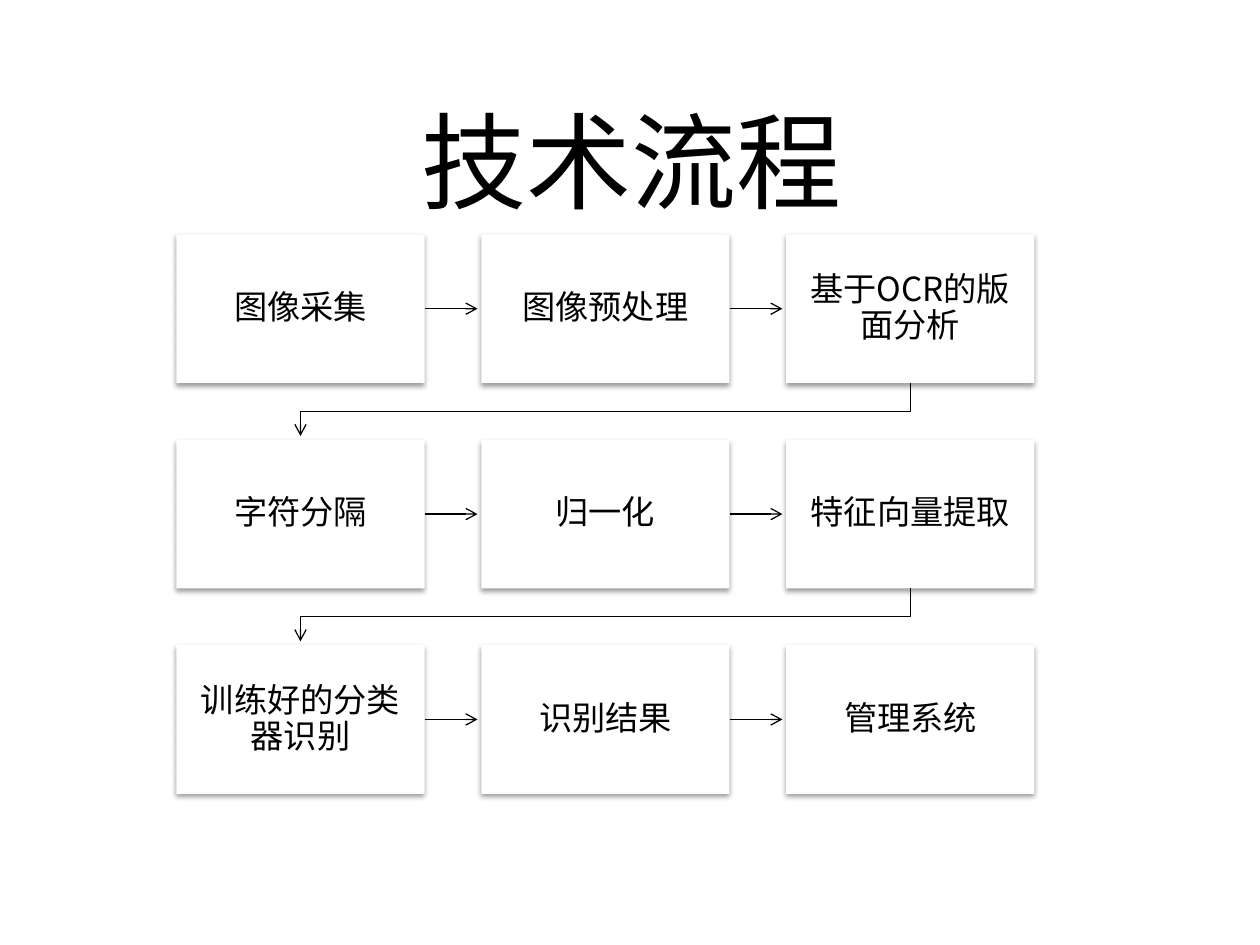
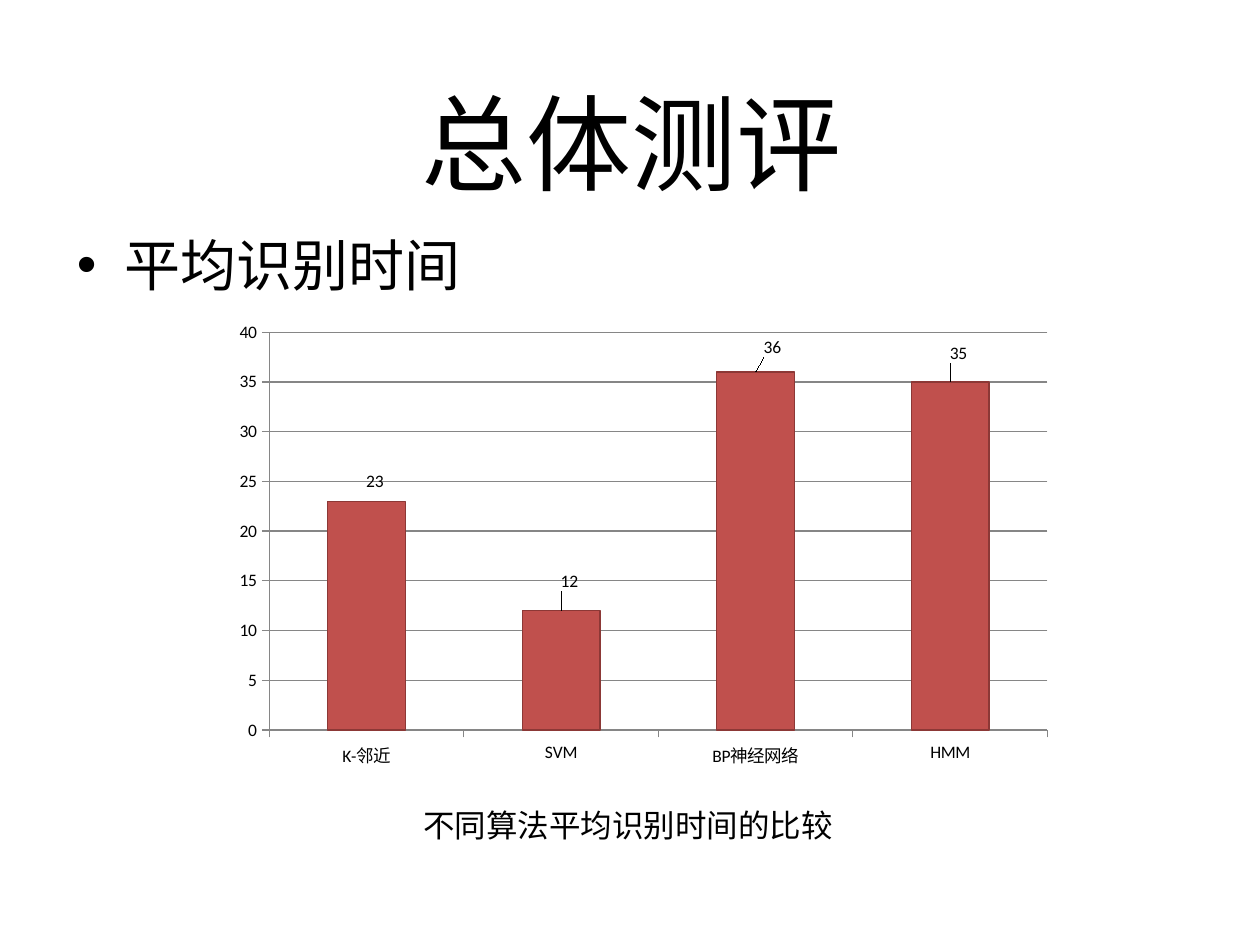
from dataclasses import dataclass

from lxml import etree
from pptx import Presentation
from pptx import util as u
from pptx.chart import data as chart_data
from pptx.dml import color
from pptx.enum import chart as charts, shapes, text
from pptx.oxml import ns, parse_xml


@dataclass(frozen=True)
class Theme:
    ink: color.RGBColor = color.RGBColor(0, 0, 0)
    paper: color.RGBColor = color.RGBColor(255, 255, 255)
    bar: color.RGBColor = color.RGBColor.from_string("C0504D")
    bar_edge: color.RGBColor = color.RGBColor.from_string("8C3836")
    axis: color.RGBColor = color.RGBColor.from_string("868686")
    font: str = "Noto Sans CJK SC"
    chart_font: str = "Calibri"
    title: int = 60
    bullet: int = 32
    step: int = 19
    caption: int = 18
    label: int = 10
    hairline: float = 0.75


THEME = Theme()
WIDTH, HEIGHT = 10, 7.5

STEPS = [
    ["图像采集", "图像预处理", "基于OCR的版面分析"],
    ["字符分隔", "归一化", "特征向量提取"],
    ["训练好的分类器识别", "识别结果", "管理系统"],
]
GRID_LEFT, GRID_TOP = 1.4, 1.86
STEP_WIDTH, STEP_HEIGHT = 1.97, 1.18
COLUMN_PITCH, ROW_PITCH = 2.42, 1.63
ARROW_GAP = 0.03

TIMES = {"K-邻近": 23, "SVM": 12, "BP神经网络": 36, "HMM": 35}
LABEL_SHIFTS = [(0.01, -0.01), (0.01, -0.03), (0.02, -0.02), (0.01, -0.03)]
PLOT_AREA = {"x": 0.055, "y": 0.04, "w": 0.926, "h": 0.858}


def apply(target, values):
    for name, value in values.items():
        setattr(target, name, value)


def place(shape, left, top, width, height):
    lengths = dict(left=left, top=top, width=width, height=height)
    apply(shape, {name: u.Inches(value) for name, value in lengths.items()})


def write(frame, words, size, align=None):
    frame.text = words
    paragraph = frame.paragraphs[0]
    if align is not None:
        paragraph.alignment = align
    run = paragraph.runs[0]
    apply(run.font, {"size": u.Pt(size), "name": THEME.font})
    run.font.color.rgb = THEME.ink
    east_asian = etree.SubElement(run._r.get_or_add_rPr(), ns.qn("a:ea"))
    east_asian.set("typeface", THEME.font)
    return paragraph


def add_titled_slide(deck, layout, words, top):
    slide = deck.slides.add_slide(deck.slide_layouts[layout])
    place(slide.shapes.title, 0.51, top, 9, 2.28)
    write(slide.shapes.title.text_frame, words, THEME.title, text.PP_ALIGN.CENTER)
    return slide


def add_step(slide, words, left, top):
    step = slide.shapes.add_shape(
        shapes.MSO_SHAPE.RECTANGLE,
        *map(u.Inches, (left, top, STEP_WIDTH, STEP_HEIGHT)))
    step.fill.solid()
    step.fill.fore_color.rgb = THEME.paper
    step.line.fill.background()
    step.shadow.inherit = False
    effects = step._element.spPr.find(ns.qn("a:effectLst"))
    effects.append(parse_xml(
        f'<a:outerShdw {ns.nsdecls("a")} blurRad="{u.Pt(3.1)}" dist="{u.Pt(1.6)}" '
        'dir="5400000" rotWithShape="0"><a:srgbClr val="000000">'
        '<a:alpha val="38000"/></a:srgbClr></a:outerShdw>'))
    frame = step.text_frame
    sides = ("left", "top", "right", "bottom")
    apply(frame, {f"margin_{side}": u.Inches(0.15) for side in sides})
    apply(frame, {"word_wrap": True, "vertical_anchor": text.MSO_ANCHOR.MIDDLE})
    write(frame, words, THEME.step, text.PP_ALIGN.CENTER).line_spacing = 0.9


def finish_arrow(arrow):
    arrow.line.color.rgb = THEME.ink
    arrow.line.width = u.Pt(THEME.hairline)
    etree.SubElement(arrow.line._get_or_add_ln(), ns.qn("a:tailEnd")).set("type", "arrow")
    etree.SubElement(arrow._element.spPr, ns.qn("a:effectLst"))


def add_next_arrow(slide, left, top):
    start, end = left + STEP_WIDTH, left + COLUMN_PITCH - ARROW_GAP
    middle = top + STEP_HEIGHT / 2
    finish_arrow(slide.shapes.add_connector(
        shapes.MSO_CONNECTOR.STRAIGHT,
        *map(u.Inches, (start, middle, end, middle))))


def add_return_arrow(slide, left, top):
    last_x = left + STEP_WIDTH / 2
    first_x = GRID_LEFT + STEP_WIDTH / 2
    bottom = top + STEP_HEIGHT
    turn = bottom + (ROW_PITCH - STEP_HEIGHT) / 2
    corners = [(last_x, turn), (first_x, turn), (first_x, top + ROW_PITCH - ARROW_GAP)]
    outline = slide.shapes.build_freeform(u.Inches(last_x), u.Inches(bottom))
    outline.add_line_segments(
        [(u.Inches(x), u.Inches(y)) for x, y in corners], close=False)
    route = outline.convert_to_shape()
    route.fill.background()
    finish_arrow(route)


def add_process(slide):
    for row, names in enumerate(STEPS):
        for column, words in enumerate(names):
            left = GRID_LEFT + column * COLUMN_PITCH
            top = GRID_TOP + row * ROW_PITCH
            add_step(slide, words, left, top)
            if column < len(names) - 1:
                add_next_arrow(slide, left, top)
            elif row < len(STEPS) - 1:
                add_return_arrow(slide, left, top)


def manual_layout(values, inner=False):
    target = '<c:layoutTarget val="inner"/>' if inner else ""
    modes = "".join(f'<c:{side}Mode val="edge"/>' for side in "xy") if inner else ""
    sizes = "".join(f'<c:{name} val="{value}"/>' for name, value in values.items())
    return parse_xml(f'<c:layout {ns.nsdecls("c")}><c:manualLayout>'
                     f'{target}{modes}{sizes}</c:manualLayout></c:layout>')


def style_axis(axis, gridlines):
    apply(axis, {"has_major_gridlines": gridlines,
                 "major_tick_mark": charts.XL_TICK_MARK.OUTSIDE,
                 "minor_tick_mark": charts.XL_TICK_MARK.NONE})
    lines = [axis.format.line]
    if gridlines:
        lines.append(axis.major_gridlines.format.line)
    for line in lines:
        line.color.rgb = THEME.axis
        line.width = u.Pt(THEME.hairline)


def add_time_chart(slide):
    times = chart_data.CategoryChartData()
    times.categories = list(TIMES)
    times.add_series("Series 1", list(TIMES.values()))
    chart = slide.shapes.add_chart(
        charts.XL_CHART_TYPE.COLUMN_CLUSTERED,
        *map(u.Inches, (1.77, 2.49, 6.67, 3.68)), times).chart
    apply(chart, {"has_legend": False, "has_title": False})
    apply(chart.font, {"size": u.Pt(THEME.label), "name": THEME.chart_font})
    chart.font.color.rgb = THEME.ink
    style_axis(chart.category_axis, False)
    style_axis(chart.value_axis, True)
    apply(chart.value_axis,
          {"minimum_scale": 0, "maximum_scale": 40, "major_unit": 5})
    plot = chart.plots[0]
    apply(plot, {"gap_width": 150, "vary_by_categories": False})
    bars = plot.series[0]
    bars.format.fill.solid()
    bars.format.fill.fore_color.rgb = THEME.bar
    bars.format.line.color.rgb = THEME.bar_edge
    bars.format.line.width = u.Pt(THEME.hairline)
    for index in range(len(TIMES)):
        bars.points[index].data_label.position = charts.XL_LABEL_POSITION.OUTSIDE_END
    labels = chart._chartSpace.xpath(".//c:dLbl")
    for label, (x, y) in zip(labels, LABEL_SHIFTS):
        label.find(ns.qn("c:idx")).addnext(manual_layout({"x": x, "y": y}))
    area = chart._chartSpace.xpath(".//c:plotArea")[0]
    for automatic in area.findall(ns.qn("c:layout")):
        area.remove(automatic)
    area.insert(0, manual_layout(PLOT_AREA, inner=True))


def add_bullet(slide, words):
    body = slide.placeholders[1]
    place(body, 0.51, 1.78, 9, 5.43)
    write(body.text_frame, words, THEME.bullet)


def add_caption(slide, words):
    caption = slide.shapes.add_textbox(*map(u.Inches, (3.26, 6.35, 3.48, 0.4)))
    apply(caption.text_frame, {"word_wrap": False,
                               "auto_size": text.MSO_AUTO_SIZE.SHAPE_TO_FIT_TEXT})
    write(caption.text_frame, words, THEME.caption)


def main():
    deck = Presentation()
    apply(deck, {"slide_width": u.Inches(WIDTH), "slide_height": u.Inches(HEIGHT)})
    add_process(add_titled_slide(deck, 5, "技术流程", 0.13))
    evaluation = add_titled_slide(deck, 1, "总体测评", -0.02)
    add_bullet(evaluation, "平均识别时间")
    add_time_chart(evaluation)
    add_caption(evaluation, "不同算法平均识别时间的比较")
    deck.save("out.pptx")


if __name__ == "__main__":
    main()
